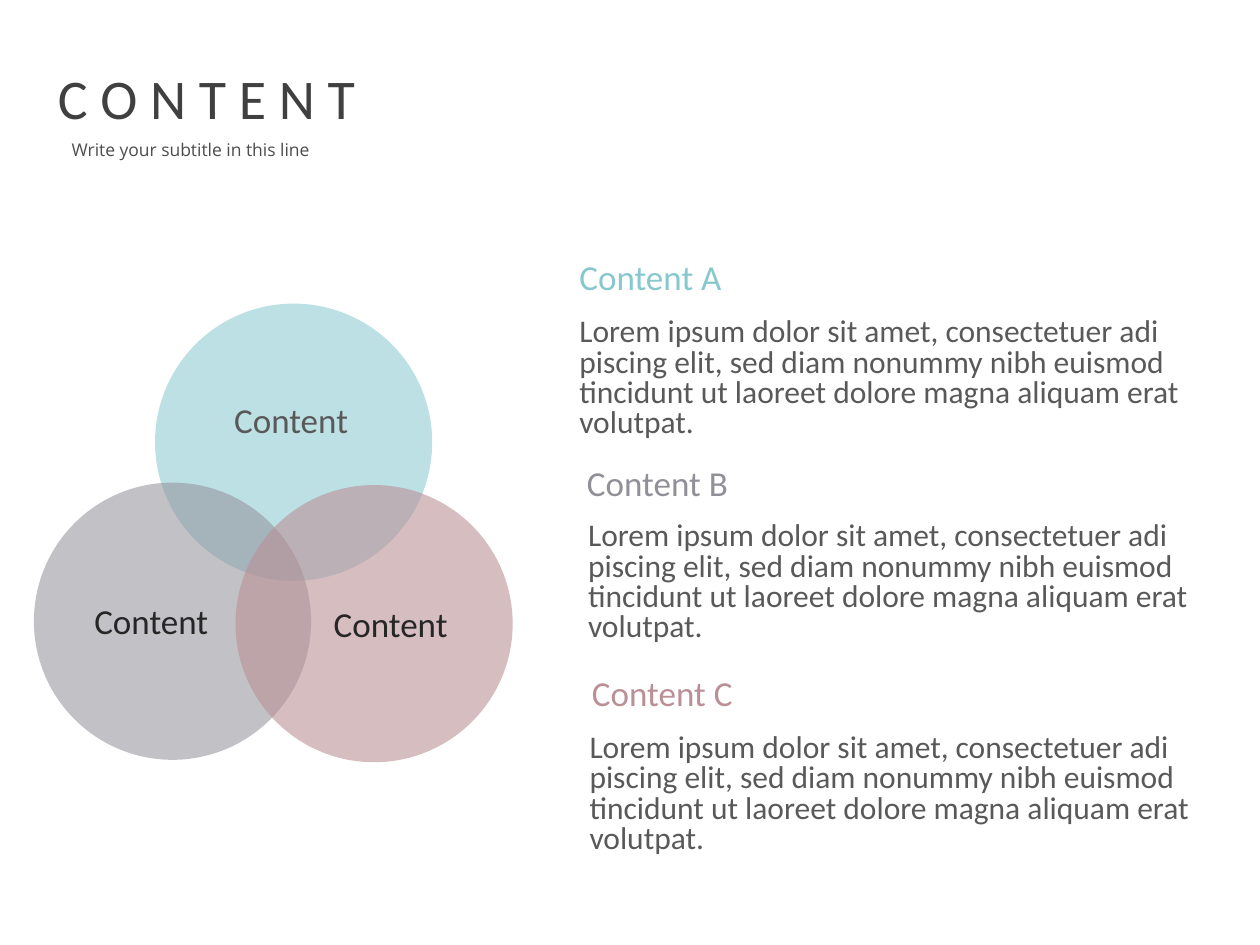
from typing import NamedTuple

from lxml.etree import SubElement
from pptx import Presentation
from pptx.dml.color import RGBColor
from pptx.enum.shapes import MSO_SHAPE
from pptx.enum.text import MSO_ANCHOR, MSO_AUTO_SIZE, PP_ALIGN
from pptx.oxml.ns import qn
from pptx.util import Pt

TEAL = RGBColor(0x86, 0xC8, 0xCE)
GRAY = RGBColor(0x91, 0x90, 0x98)
ROSE = RGBColor(0xBA, 0x8F, 0x95)
TITLE_INK = RGBColor(0x40, 0x40, 0x40)
SUBTITLE_INK = RGBColor(0x4D, 0x4D, 0x4D)
BODY_INK = RGBColor(0x59, 0x59, 0x59)
DARK_INK = RGBColor(0x26, 0x26, 0x26)

DIAMETER = 158.4
BODY_LINES = [
    "Lorem ipsum dolor sit amet, consectetuer adi",
    "piscing elit, sed diam nonummy nibh euismod",
    "tincidunt ut laoreet dolore magna aliquam erat",
    "volutpat.",
]


class Circle(NamedTuple):
    left: float
    top: float
    color: RGBColor
    opacity: int


class Label(NamedTuple):
    text: str
    left: float
    top: float
    width: float
    color: RGBColor


class Body(NamedTuple):
    left: float
    top: float


CIRCLES = [
    Circle(88.6, 173.5, TEAL, 55),
    Circle(19.4, 275.8, GRAY, 55),
    Circle(134.6, 277.2, ROSE, 59),
]
LABELS = [
    Label("Content", 126.7, 223.9, 81.4, BODY_INK),
    Label("Content", 46.8, 339.1, 81.4, DARK_INK),
    Label("Content", 183.6, 340.6, 81.4, DARK_INK),
    Label("Content A", 324, 142.6, 97.9, TEAL),
    Label("Content B", 328.3, 259.9, 97.2, GRAY),
    Label("Content C", 331.2, 380.2, 96.5, ROSE),
]
BODIES = [Body(324, 178.6), Body(329, 295.2), Body(329.8, 416.2)]


def add_span(para, text: str, size: float, color: RGBColor, font: str = "Calibri") -> None:
    span = para.add_run()
    span.text = text
    span.font.name = font
    span.font.size = Pt(size)
    span.font.color.rgb = color


def add_circle(page, circle: Circle) -> None:
    shape = page.shapes.add_shape(
        MSO_SHAPE.OVAL, Pt(circle.left), Pt(circle.top), Pt(DIAMETER), Pt(DIAMETER))
    shape.shadow.inherit = False
    shape.line.fill.background()
    shape.fill.solid()
    shape.fill.fore_color.rgb = circle.color
    color_node = shape.fill._xPr.find(qn("a:solidFill"))[0]
    SubElement(color_node, qn("a:alpha"), val=str(circle.opacity * 1000))


def add_label(page, label: Label) -> None:
    box = page.shapes.add_textbox(
        Pt(label.left), Pt(label.top), Pt(label.width), Pt(31.7))
    frame = box.text_frame
    frame.word_wrap = False
    frame.auto_size = MSO_AUTO_SIZE.SHAPE_TO_FIT_TEXT
    add_span(frame.paragraphs[0], label.text, 20, label.color)


def add_body(page, body: Body) -> None:
    box = page.shapes.add_textbox(Pt(body.left), Pt(body.top), Pt(360), Pt(77))
    frame = box.text_frame
    frame.word_wrap = True
    frame.auto_size = MSO_AUTO_SIZE.SHAPE_TO_FIT_TEXT
    for index, line in enumerate(BODY_LINES):
        para = frame.add_paragraph() if index else frame.paragraphs[0]
        para.line_spacing = 0.8
        add_span(para, line, 18, BODY_INK)


def set_title(page) -> None:
    title = page.shapes.title
    title.left, title.top, title.width, title.height = Pt(25.9), Pt(32.4), Pt(186.5), Pt(46)
    frame = title.text_frame
    frame.word_wrap = False
    frame.auto_size = MSO_AUTO_SIZE.SHAPE_TO_FIT_TEXT
    frame.vertical_anchor = MSO_ANCHOR.TOP
    para = frame.paragraphs[0]
    para.alignment = PP_ALIGN.LEFT
    add_span(para, "C O N T E N T", 32, TITLE_INK)


def add_subtitle(page) -> None:
    box = page.shapes.add_textbox(Pt(41), Pt(79.2), Pt(150.5), Pt(16.6))
    frame = box.text_frame
    frame.word_wrap = True
    frame.margin_left = frame.margin_top = frame.margin_right = frame.margin_bottom = 0
    add_span(frame.paragraphs[0], "Write your subtitle in this line", 10,
             SUBTITLE_INK, "Open Sans")


def main() -> None:
    deck = Presentation()
    deck.slide_width, deck.slide_height = Pt(720), Pt(540)
    page = deck.slides.add_slide(deck.slide_layouts[5])
    set_title(page)
    add_subtitle(page)
    for circle in CIRCLES:
        add_circle(page, circle)
    for label in LABELS:
        add_label(page, label)
    for body in BODIES:
        add_body(page, body)
    deck.save("out.pptx")


if __name__ == "__main__":
    main()
